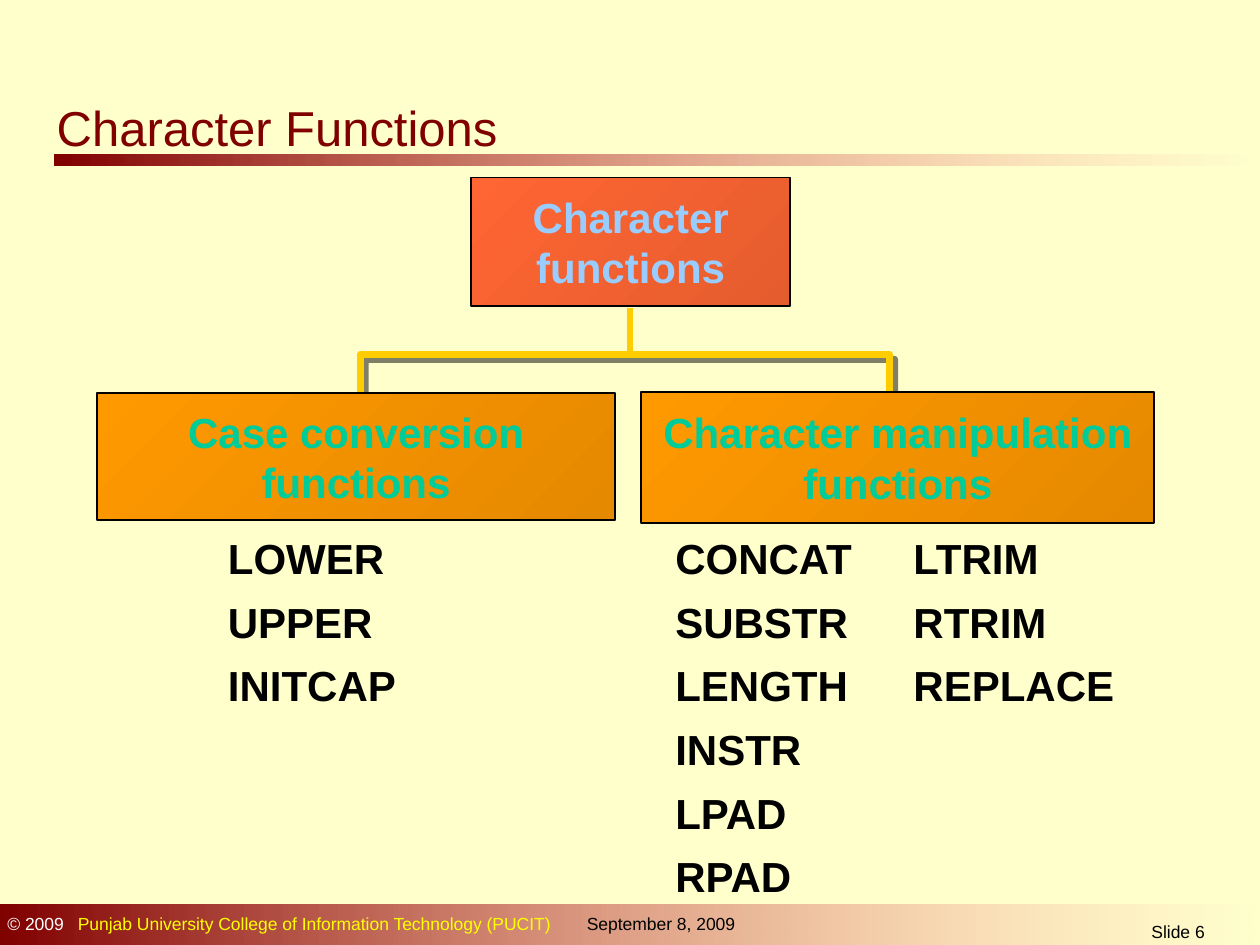
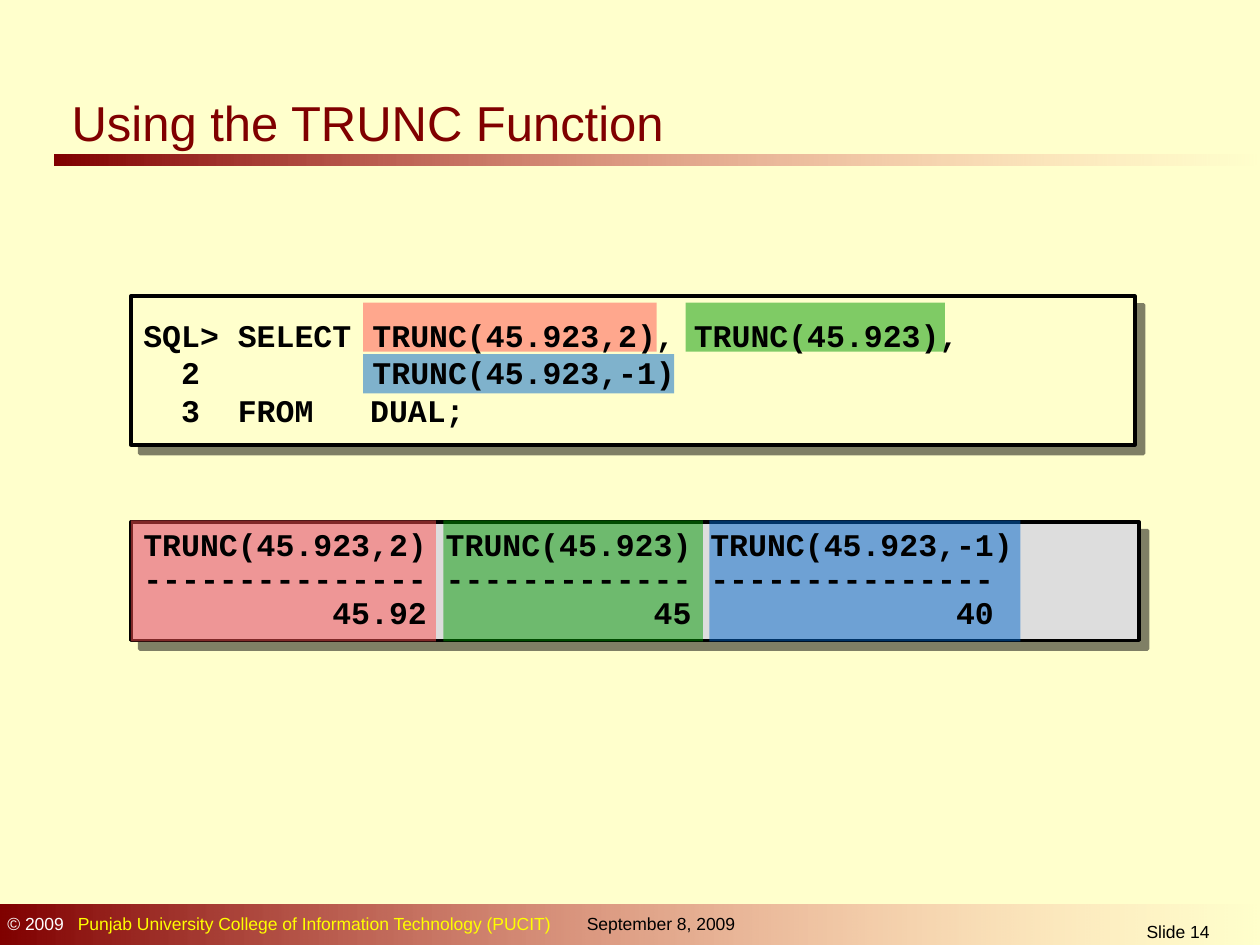
from lxml.etree import SubElement as Sub
from pptx import Presentation
from pptx.dml.color import RGBColor
from pptx.enum.shapes import MSO_CONNECTOR as Link, MSO_SHAPE as Form
from pptx.enum.text import MSO_ANCHOR as Anchor, MSO_AUTO_SIZE as Auto, PP_ALIGN as Align
from pptx.oxml.ns import qn
from pptx.util import Cm, Pt

# Shared colours and fonts
CREAM, MAROON, PINK = "FFFFCC", "800000", "FF8585"
BLACK, WHITE, YELLOW = "000000", "FFFFFF", "FFFF00"
GOLD, GREY, TEAL, SKY = "FFCC00", "DDDDDD", "00CC99", "99CCFF"
RED_HUE, ORANGE_HUE = ("FF6633", "E55C2E"), ("FF9900", "E58900")
SANS, MONO = "Arial", "Courier New"


def paint(color, code):
    color.rgb = RGBColor.from_string(code)


def fade(node, percent):
    """Set the opacity of the colour inside an XML node."""
    color = next(node.iter(qn("a:srgbClr")))
    Sub(color, qn("a:alpha"), val=str(percent * 1000))


def blend(fill, first, last, angle=0):
    fill.gradient()
    fill.gradient_angle = -angle % 360
    for stop, code, place in zip(fill.gradient_stops, (first, last), (0, 1)):
        paint(stop.color, code)
        stop.position = place


def outline(shape, code, width):
    paint(shape.line.color, code)
    shape.line.width = Pt(width)


def shade(shape, dist):
    """Give a hard, half clear shadow to the lower right."""
    shape.shadow.inherit = False
    effects = shape._element.spPr.find(qn("a:effectLst"))
    drop = Sub(effects, qn("a:outerShdw"), blurRad="0", dist=str(Pt(dist)),
               dir="2700000", algn="ctr", rotWithShape="0")
    Sub(drop, qn("a:srgbClr"), val=BLACK)
    fade(drop, 50)


def box(shapes, *place, color=None, hues=None, angle=0, alpha=None, line=0, shadow=0):
    shape = shapes.add_shape(Form.RECTANGLE, *map(Cm, place))
    if hues:
        blend(shape.fill, *hues, angle)
    else:
        shape.fill.solid()
        paint(shape.fill.fore_color, color)
    if alpha:
        fade(shape._element.spPr, alpha)
    if line:
        outline(shape, BLACK, line)
    else:
        shape.line.fill.background()
    if shadow:
        shade(shape, shadow)
    else:
        shape.shadow.inherit = False
    return shape


def write(shape, *lines, size=24, font=SANS, color=BLACK, bold=False, align=Align.LEFT,
          anchor=Anchor.TOP, before=0, spacing=1.0, tab=None, plain=False):
    """Fill a shape; a line is a string or a list of (text, colour) pairs."""
    frame = shape.text_frame
    frame.word_wrap = True
    frame.auto_size = Auto.NONE
    frame.vertical_anchor = anchor
    for i, line in enumerate(lines):
        par = frame.paragraphs[0] if i == 0 else frame.add_paragraph()
        par.alignment = align
        par.line_spacing = spacing
        par.space_before = Pt(before if i else 0)
        props = par._p.get_or_add_pPr()
        if plain:
            props.set("marL", "0")
            props.set("indent", "0")
            Sub(props, qn("a:buNone"))
        if tab:
            Sub(Sub(props, qn("a:tabLst")), qn("a:tab"), pos=str(Cm(tab)), algn="l")
        for words, code in [(line, color)] if isinstance(line, str) else line:
            run = par.add_run()
            run.text = words
            run.font.size, run.font.name, run.font.bold = Pt(size), font, bold
            paint(run.font.color, code)


def note(slide, *place):
    return slide.shapes.add_textbox(*map(Cm, place))


def move(shape, *place):
    shape.left, shape.top, shape.width, shape.height = map(Cm, place)


def start(deck, layout, number, title, *place):
    """Add a slide with the title, the bands and the footer."""
    slide = deck.slides.add_slide(deck.slide_layouts[layout])
    for band in ((1.09, 3.12, 24.31, 0.22), (0, 18.24, 25.4, 0.81)):
        bar = box(slide.shapes, *band, hues=(MAROON, PINK))
        fade(bar.fill.gradient_stops[1]._stop if hasattr(bar.fill.gradient_stops[1], "_stop")
             else bar._element.spPr.findall(".//" + qn("a:gs"))[1], 0)
    owner = [("© 2009", WHITE),
             ("\tPunjab University College of Information Technology (PUCIT)", YELLOW)]
    write(note(slide, -0.1, 18.29, 12, 0.69), owner, size=10, tab=1.42)
    write(note(slide, 11.58, 18.29, 3.91, 0.69), "September 8, 2009", size=10)
    write(note(slide, 22.11, 18.44, 3.28, 0.61), f"Slide {number}", size=10,
          align=Align.CENTER)
    move(slide.shapes.title, *place)
    write(slide.shapes.title, title, size=28, color=MAROON)
    return slide


def node(slide, *place, lines, hues, color):
    shape = box(slide.shapes, *place, hues=hues, angle=45, line=1)
    write(shape, *lines, color=color, bold=True, align=Align.CENTER, anchor=Anchor.MIDDLE)


def tree(deck):
    slide = start(deck, 4, 6, "Character Functions", 0.89, 1.83, 9.5, 1.5)
    node(slide, 9.5, 3.58, 6.43, 2.59, lines=("Character", "functions"),
         hues=RED_HUE, color=SKY)

    # Branch lines
    stem = slide.shapes.add_connector(Link.STRAIGHT, *map(Cm, (12.7, 7.09, 12.7, 6.2)))
    outline(stem, GOLD, 4)
    Sub(stem._element.spPr, qn("a:effectLst"))
    left, right, top = Cm(7.26), Cm(17.93), Cm(7.14)
    path = slide.shapes.build_freeform(left, Cm(8.53))
    path.add_line_segments([(left, top), (right, top), (right, Cm(8.64))], close=False)
    fork = path.convert_to_shape()
    fork.fill.background()
    outline(fork, GOLD, 4)
    shade(fork, 4.2)

    # Function families
    node(slide, 1.96, 7.92, 10.44, 2.57, lines=("Case conversion", "functions"),
         hues=ORANGE_HUE, color=TEAL)
    node(slide, 12.93, 7.9, 10.34, 2.64, lines=("Character manipulation", "functions"),
         hues=ORANGE_HUE, color=TEAL)

    # Function lists
    lists = ((4.34, 4.2, ("LOWER", "UPPER", "INITCAP")),
             (13.36, 4.5, ("CONCAT", "SUBSTR", "LENGTH", "INSTR", "LPAD", "RPAD")),
             (18.16, 5, ("LTRIM", "RTRIM", "REPLACE")))
    bodies = list(slide.placeholders)[1:]
    for body, (x, width, names) in zip(bodies, lists):
        move(body, x, 10.72, width, 1.27 * len(names))
        write(body, *names, bold=True, before=10.5, spacing=0.9, plain=True)
    for spare in bodies[len(lists):]:
        spare._element.getparent().remove(spare._element)


def query(deck):
    slide = start(deck, 5, 14, "Using the TRUNC Function", 1.19, 1.73, 12.7, 1.5)
    box(slide.shapes, 2.64, 5.97, 20.24, 3, color=CREAM, line=2, shadow=7.1)
    box(slide.shapes, 2.64, 10.52, 20.32, 2.39, color=GREY, line=2, shadow=7.1)

    # Each call shares its tint with its result column
    tints = (("FF5050", (2.64, 6.15), (7.32, 6.1, 5.92, 0.99)),
             ("009900", (8.94, 5.23), (13.82, 6.1, 5.23, 0.99)),
             ("0066CC", (14.3, 6.27), (7.32, 7.14, 6.27, 0.79)))
    for color, (x, width), call in tints:
        pair = slide.shapes.add_group_shape().shapes
        for place in ((x, 10.49, width, 2.44), call):
            box(pair, *place, color=color, alpha=50)

    # Statement and output
    write(note(slide, 2.64, 5.31, 20.32, 4.39),
          "SQL> SELECT \tTRUNC(45.923,2), TRUNC(45.923),",
          "  2  \tTRUNC(45.923,-1)",
          "  3  FROM   DUAL;",
          size=18, font=MONO, bold=True, anchor=Anchor.MIDDLE, tab=4.62)
    write(note(slide, 2.64, 10.54, 20.24, 2.31),
          "TRUNC(45.923,2) TRUNC(45.923) TRUNC(45.923,-1)",
          "--------------- ------------- ---------------",
          "          45.92            45              40",
          size=18, font=MONO, bold=True, spacing=0.9)


def main():
    deck = Presentation()
    deck.slide_width, deck.slide_height = Cm(25.4), Cm(19.05)
    back = deck.slide_master.background.fill
    back.solid()
    paint(back.fore_color, CREAM)
    tree(deck)
    query(deck)
    deck.save("out.pptx")


if __name__ == "__main__":
    main()
